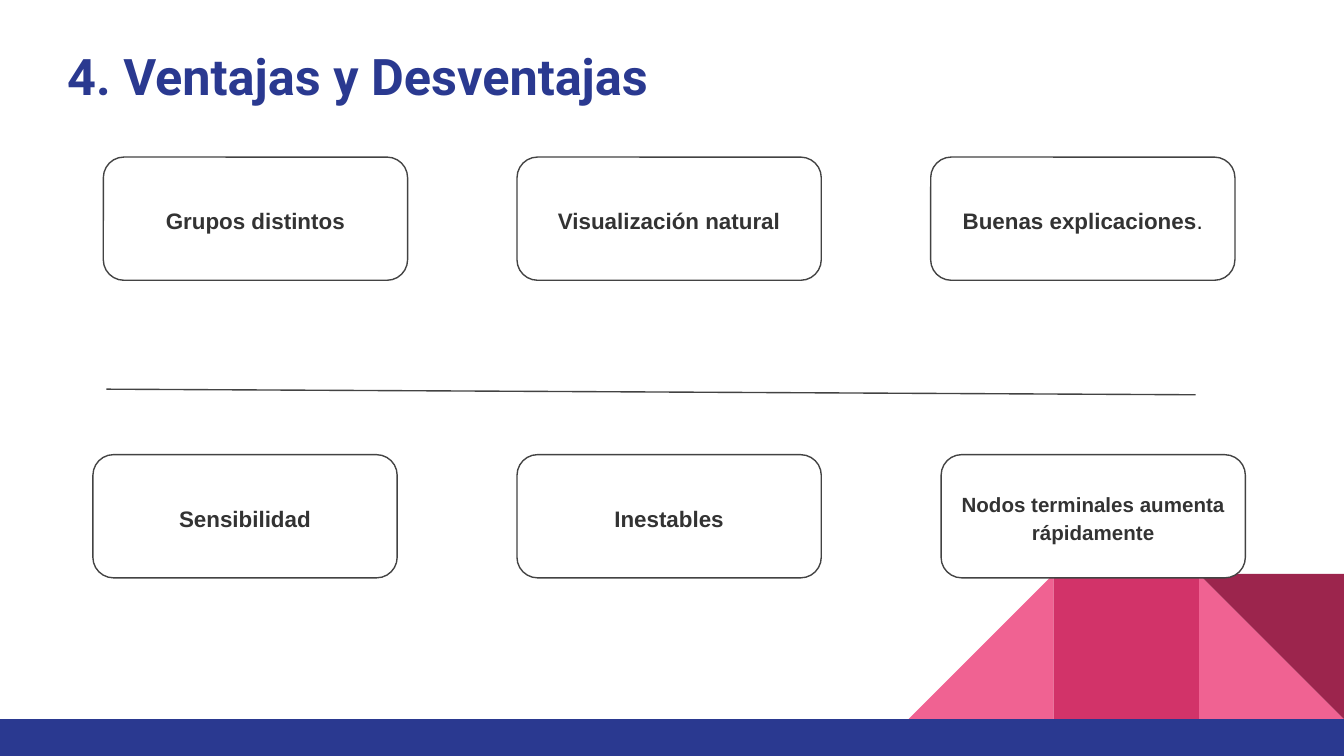
from dataclasses import dataclass

from lxml import etree
from pptx import Presentation
from pptx.dml.color import RGBColor
from pptx.enum.shapes import MSO_CONNECTOR, MSO_SHAPE
from pptx.enum.text import MSO_ANCHOR, MSO_AUTO_SIZE, PP_ALIGN
from pptx.oxml.ns import qn
from pptx.util import Pt

RECTANGLE = MSO_SHAPE.RECTANGLE
ROUNDED = MSO_SHAPE.ROUNDED_RECTANGLE
TRIANGLE = MSO_SHAPE.RIGHT_TRIANGLE
STRAIGHT = MSO_CONNECTOR.STRAIGHT
LEFT, CENTER = PP_ALIGN.LEFT, PP_ALIGN.CENTER
MIDDLE = MSO_ANCHOR.MIDDLE
NO_FIT = MSO_AUTO_SIZE.NONE


@dataclass(frozen=True)
class Theme:
    blue: str = "2A3990"
    pink: str = "F06292"
    magenta: str = "D23369"
    wine: str = "9C254D"
    white: str = "FFFFFF"
    outline: str = "434343"
    text: str = "333333"
    stop: str = "161616"
    title_font: str = "Roboto"
    body_font: str = "Arial"
    title_size: float = 27
    card_size: float = 12
    small_size: float = 11
    line_width: float = 0.75


theme = Theme()


def add_block(kind, left, top, width, height, fill, rotation=0):
    block = slide.shapes.add_shape(kind, Pt(left), Pt(top), Pt(width), Pt(height))
    block.shadow.inherit = False
    block.fill.solid()
    block.fill.fore_color.rgb = RGBColor.from_string(fill)
    block.line.fill.background()
    block.rotation = rotation
    return block


def write(box, text, *, font=theme.body_font, size=theme.card_size, color=theme.text,
          bold=True, align=CENTER, spacing=1.15):
    """Add a span of text to the first paragraph of a box."""
    frame = box.text_frame
    frame.word_wrap = True
    frame.auto_size = NO_FIT
    frame.vertical_anchor = MIDDLE
    frame.margin_left = frame.margin_right = Pt(7.2)
    frame.margin_top = frame.margin_bottom = Pt(7.2)
    para = frame.paragraphs[0]
    para.alignment = align
    para.line_spacing = spacing
    span = para.add_run()
    span.text = text
    span.font.name = font
    span.font.size = Pt(size)
    span.font.bold = bold
    span.font.color.rgb = RGBColor.from_string(color)


deck = Presentation()
deck.slide_width, deck.slide_height = Pt(720), Pt(405)
slide = deck.slides.add_slide(deck.slide_layouts[5])

# Corner decoration: equal squares standing on the footer band
side, floor = 77.75, 385.2
for kind, column, fill, rotation in [
    (TRIANGLE, 1, theme.pink, 0),
    (TRIANGLE, 3, theme.pink, 270),
    (RECTANGLE, 2, theme.magenta, 0),
    (TRIANGLE, 1, theme.wine, 180),
]:
    add_block(kind, 720 - column * side, floor - side, side, side, fill, rotation)
add_block(RECTANGLE, 0, floor, 720, 405 - floor, theme.blue)

# Title
title = slide.shapes.title
title.left, title.top, title.width, title.height = Pt(28.8), Pt(16.6), Pt(644.4), Pt(47.5)
write(title, "4. Ventajas y Desventajas", font=theme.title_font, size=theme.title_size,
      color=theme.blue, align=LEFT, spacing=1)

# Advantages above, disadvantages below: three cards a row around one centre
card_width, card_height, middle_left = 163, 66, 277
rows = [
    (84.2, 221.6, ["Grupos distintos", "Visualización natural", "Buenas explicaciones"]),
    (243.6, 227.2, ["Sensibilidad", "Inestables", "Nodos terminales aumenta rápidamente"]),
]
for top, pitch, labels in rows:
    for column, label in enumerate(labels):
        left = middle_left + (column - 1) * pitch
        card = add_block(ROUNDED, left, top, card_width, card_height, theme.white)
        card.adjustments[0] = 0.167
        card.line.color.rgb = RGBColor.from_string(theme.outline)
        card.line.width = Pt(theme.line_width)
        write(card, label, size=theme.small_size if len(label) > 30 else theme.card_size)
        if label == "Buenas explicaciones":
            write(card, ".", color=theme.stop, bold=False)

# Divider between the two rows
divider = slide.shapes.add_connector(STRAIGHT, Pt(57), Pt(208.5), Pt(640.6), Pt(211.5))
divider.line.color.rgb = RGBColor.from_string(theme.outline)
divider.line.width = Pt(theme.line_width)
etree.SubElement(divider._element.spPr, qn("a:effectLst"))

deck.save("out.pptx")
